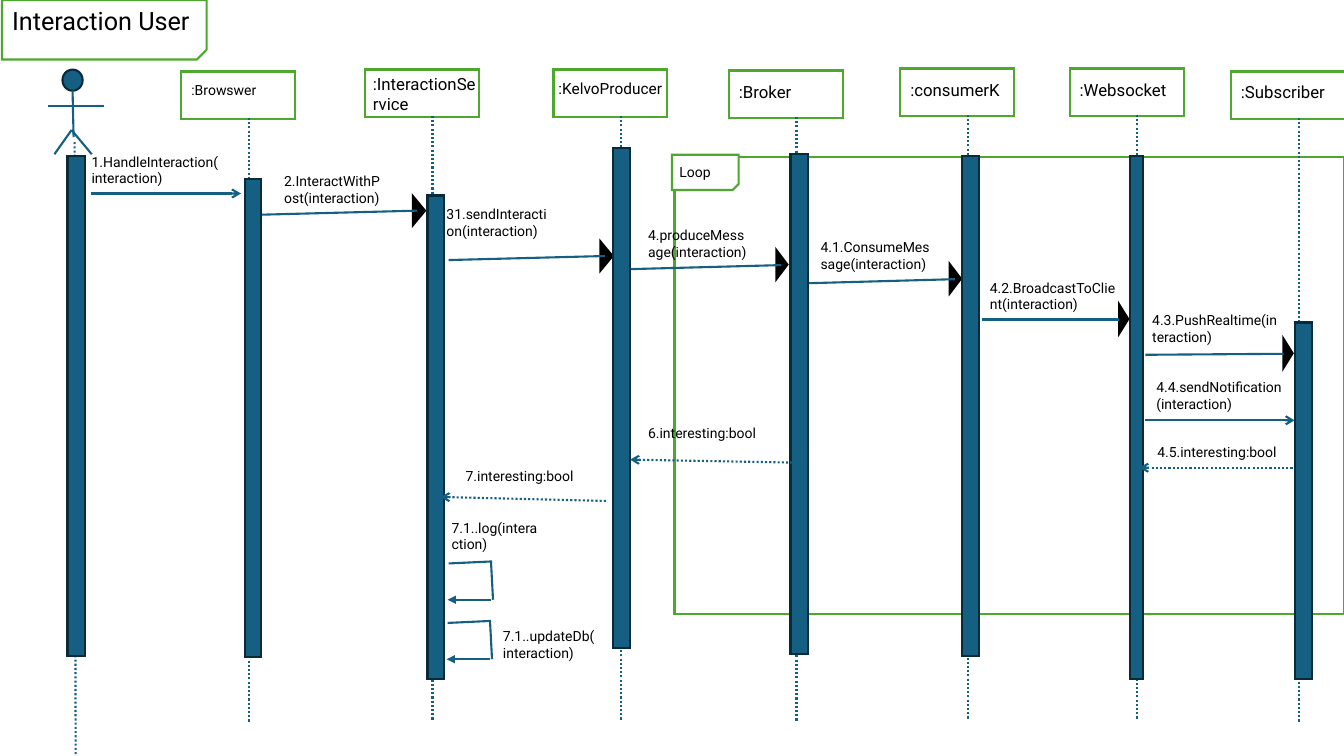
import lxml.etree
import pptx
import pptx.dml.color
import pptx.enum.dml
import pptx.enum.shapes
import pptx.enum.text
import pptx.oxml.ns
import pptx.util

PX = 9144  # 100 px to the inch
THEME = {
    "font": "Roboto", "ink": "000000", "line": "156082", "weight": 1.5,
    "title": 18, "large": 12, "medium": 11, "small": 10,
    # fill and outline of each kind of part
    "panel": ("FFFFFF", "4EA72E"),
    "solid": ("156082", "092A39"),
    "head": ("000000", "000000"),
}
KIND = pptx.enum.shapes.MSO_SHAPE
qn = pptx.oxml.ns.qn

deck = pptx.Presentation()
deck.slide_width, deck.slide_height = 1333 * PX, 750 * PX
slide = deck.slides.add_slide(deck.slide_layouts[5])
parts = slide.shapes


def put(box, text="", size="small", kind=None, paint="panel", turn=0, shape=None):
    """Add a preset shape or a text box, or fill the given shape with text."""
    left, top, width, height = (n * PX for n in box)
    if kind is not None:
        shape = parts.add_shape(kind, left, top, width, height)
        shape.rotation = turn
        shape.shadow.inherit = False
        fill, edge = THEME[paint]
        shape.fill.solid()
        shape.fill.fore_color.rgb = pptx.dml.color.RGBColor.from_string(fill)
        shape.line.color.rgb = pptx.dml.color.RGBColor.from_string(edge)
        shape.line.width = pptx.util.Pt(THEME["weight"])
        outline = shape.element.spPr.find(qn("a:ln"))
        lxml.etree.SubElement(outline, qn("a:miter"), lim="800000")
        return
    shape = shape or parts.add_textbox(left, top, width, height)
    shape.left, shape.top, shape.width, shape.height = left, top, width, height
    frame = shape.text_frame
    frame.word_wrap = True
    frame.auto_size = pptx.enum.text.MSO_AUTO_SIZE.SHAPE_TO_FIT_TEXT
    frame.vertical_anchor = pptx.enum.text.MSO_ANCHOR.TOP
    frame.paragraphs[0].alignment = pptx.enum.text.PP_ALIGN.LEFT
    run = frame.paragraphs[0].add_run()
    run.text = text
    run.font.name = THEME["font"]
    run.font.size = pptx.util.Pt(THEME[size])
    run.font.color.rgb = pptx.dml.color.RGBColor.from_string(THEME["ink"])


def link(ends, dots=False, tip=None):
    """Draw a straight line, with an arrowhead at its end if tip is given."""
    wire = parts.add_connector(
        pptx.enum.shapes.MSO_CONNECTOR.STRAIGHT, *(n * PX for n in ends))
    wire.line.color.rgb = pptx.dml.color.RGBColor.from_string(THEME["line"])
    wire.line.width = pptx.util.Pt(THEME["weight"])
    if dots:
        wire.line.dash_style = pptx.enum.dml.MSO_LINE.ROUND_DOT
    props = wire.element.spPr
    if tip:
        lxml.etree.SubElement(props.find(qn("a:ln")), qn("a:tailEnd"), type=tip)
    lxml.etree.SubElement(props, qn("a:effectLst"))


# Loop frame and the two name tabs
put((669, 156, 664, 453), kind=KIND.RECTANGLE)
put((682, 138, 35, 66), kind=KIND.SNIP_1_RECTANGLE, turn=90)
put((74, -72, 59, 203), kind=KIND.SNIP_1_RECTANGLE, turn=90)
title = parts.title
title.element.getparent().append(title.element)  # in front of its tab
put((2, 0, 203, 40), "Interaction User", "title", shape=title)

# Actor
put((62, 69, 20, 21), kind=KIND.OVAL, paint="solid")
for limb in ((48, 105, 103, 105), (71, 129, 91, 153),
             (71, 129, 54, 153), (72, 90, 73, 136)):
    link(limb)
link((74, 141, 75, 750), dots=True)

# Header left and top, name, type size, name shift
heads = (
    (180, 71, ":Browswer", "small", 0, 5),
    (362, 69, ":InteractionService", "large", -2, -1),
    (549, 69, ":KelvoProducer", "medium", -5, 5),
    (723, 70, ":Broker", "large", 0, 6),
    (893, 68, ":consumerK", "large", 0, 6),
    (1061, 68, ":Websocket", "large", 0, 6),
    (1221, 71, ":Subscriber", "large", 0, 5),
)
for left, top, name, size, right, down in heads:
    put((left, top, 113, 47), kind=KIND.RECTANGLE)
    put((left + right, top + down, 124, 30), name, size)
    link((left + 67, top + 46, left + 67, top + 645), dots=True)

# Calls with a solid head: line ends, left and thickness of the head
calls = (
    ((259, 213, 414, 209), 401, 12),
    ((445, 258, 600, 254), 587, 12),
    ((626, 267, 775, 263), 761, 11),
    ((801, 281, 947, 277), 933, 11),
    ((974, 317, 1110, 317), 1100, 9),
    ((1136, 352, 1273, 351), 1263, 9),
)
for ends, left, thick in calls:
    top = ends[3] - (thick + 1) // 2
    put((left, top, 29, thick), kind=KIND.ISOSCELES_TRIANGLE, paint="head", turn=90)
    link(ends)

# Activation bars
bars = (
    (67, 155, 17, 496), (243, 178, 16, 474), (424, 194, 16, 480),
    (608, 147, 17, 496), (784, 153, 17, 496), (954, 155, 17, 496),
    (1121, 155, 13, 519), (1284, 320, 17, 354),
)
for bar in bars:
    put(bar, kind=KIND.RECTANGLE, paint="solid")

# Calls with an open arrow, then dotted replies
for ends in ((90, 192, 239, 192), (1136, 417, 1284, 417)):
    link(ends, tip="arrow")
for ends in ((1282, 464, 1130, 464), (601, 497, 437, 493), (790, 459, 625, 456)):
    link(ends, dots=True, tip="arrow")

# Calls of the service to itself
for left, top in ((445, 559), (444, 618)):
    low = top + 36
    link((left, top, left + 43, top - 2))
    link((left + 42, top - 2, left + 44, low))
    link((left + 42, low, left - 1, low), tip="triangle")

# Message names
notes = (
    (81, 147, 148, 44, "1.HandleInteraction(interaction)"),
    (272, 166, 120, 44, "2.InteractWithPost(interaction)"),
    (433, 199, 120, 44, "31.sendInteraction(interaction)"),
    (633, 220, 120, 44, "4.produceMessage(interaction)"),
    (804, 232, 130, 44, "4.1.ConsumeMessage(interaction)"),
    (972, 272, 146, 44, "4.2.BroadcastToClient(interaction)"),
    (1133, 304, 146, 44, "4.3.PushRealtime(interaction)"),
    (1137, 371, 146, 44, "4.4.sendNotification(interaction)"),
    (1138, 435, 146, 27, "4.5.interesting:bool"),
    (633, 416, 146, 27, "6.interesting:bool"),
    (452, 459, 146, 27, "7.interesting:bool"),
    (438, 510, 111, 44, "7.1..log(interaction)"),
    (489, 618, 111, 44, "7.1..updateDb(interaction)"),
    (664, 157, 59, 27, "Loop"),
)
for *box, text in notes:
    put(box, text)

deck.save("out.pptx")
